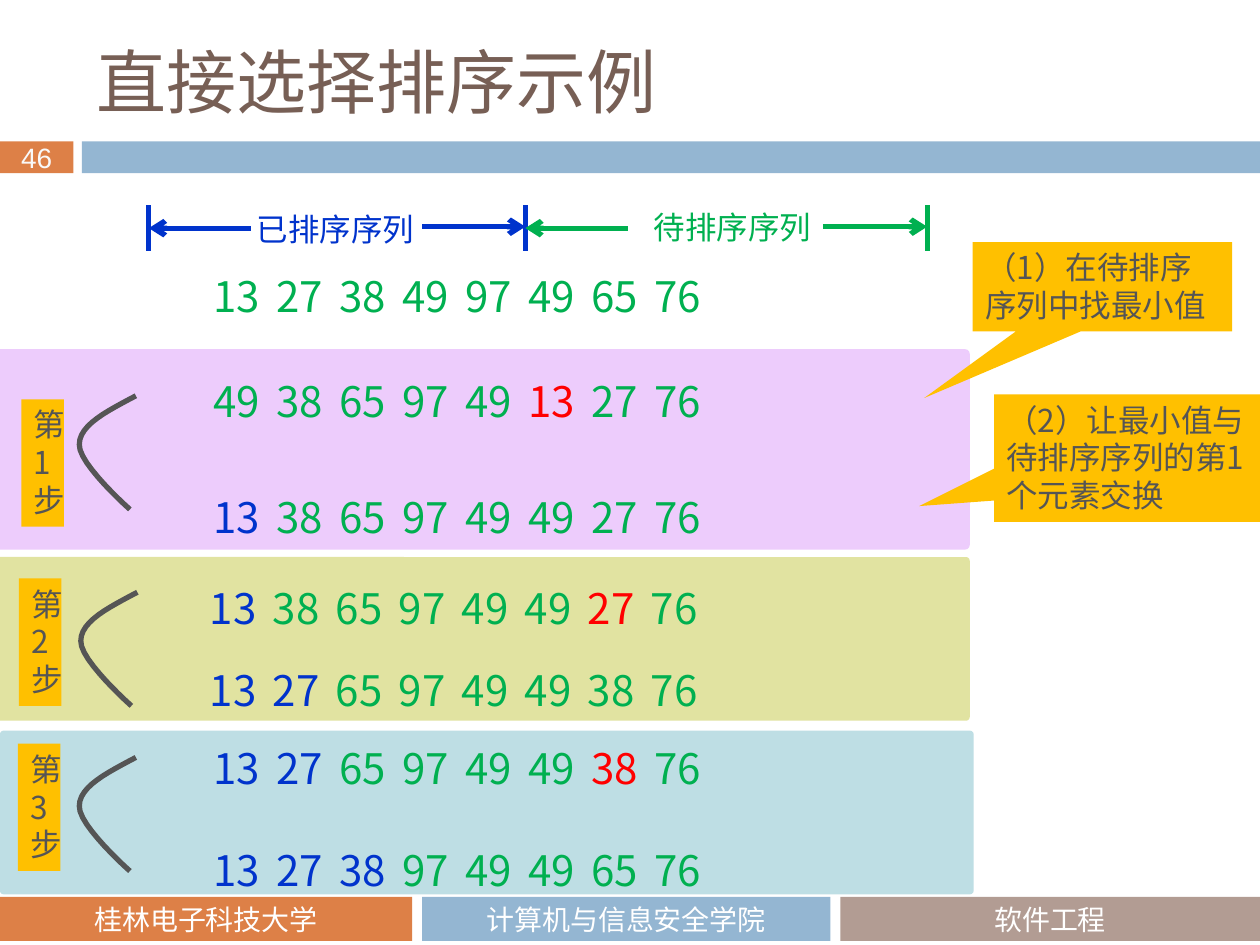
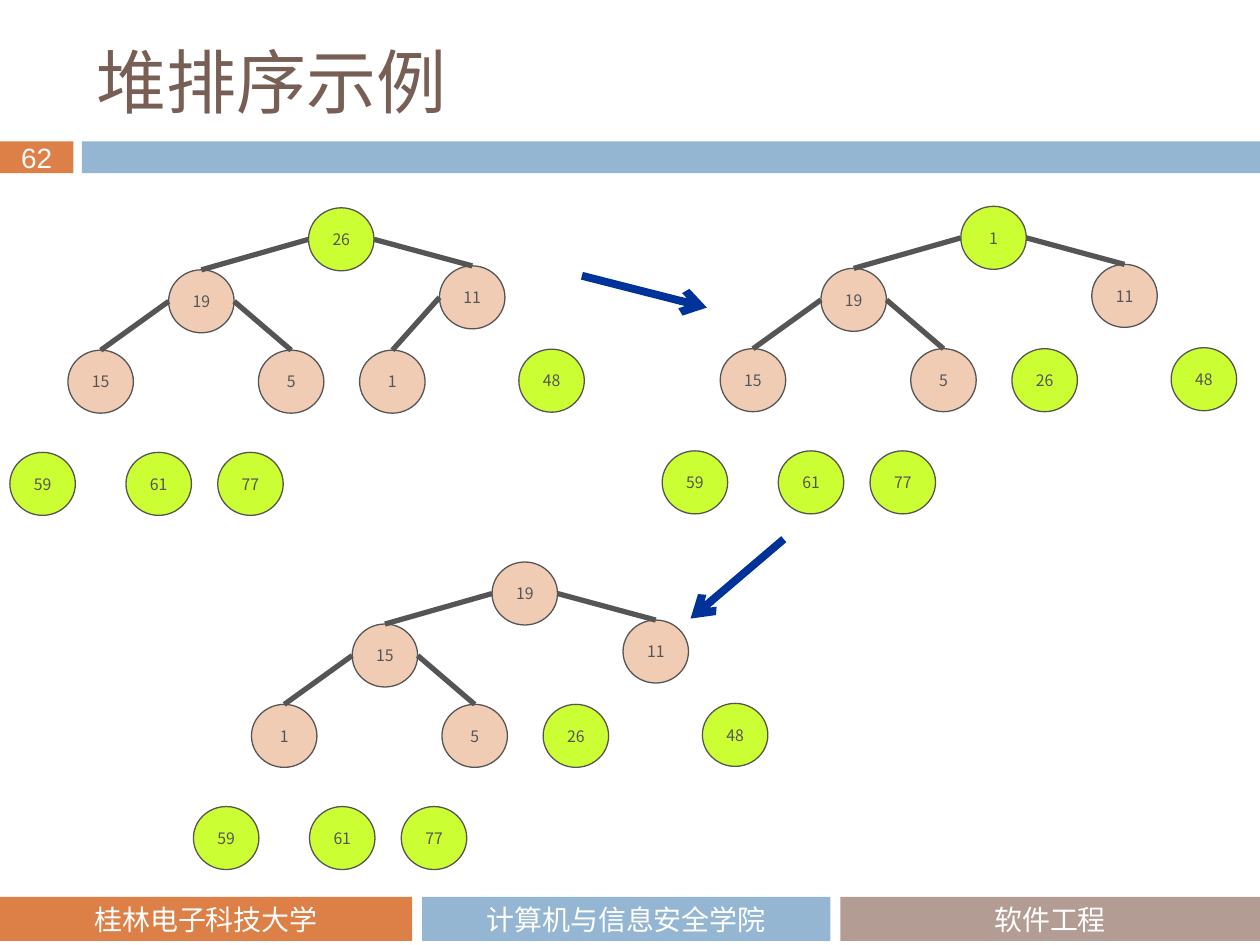
from typing import NamedTuple

from lxml.etree import SubElement
from pptx import Presentation
from pptx.dml.color import RGBColor
from pptx.enum.shapes import MSO_CONNECTOR, MSO_SHAPE as Preset
from pptx.enum.text import MSO_ANCHOR as Anchor, MSO_AUTO_SIZE as AutoSize, PP_ALIGN as Align
from pptx.oxml.ns import qn
from pptx.util import Cm, Pt

# Shared colours and fonts
ORANGE, STEEL, TAUPE, BROWN = "DD8047", "94B6D2", "B29C93", "775F55"
SORTED, UNSORTED, MINIMUM = "0033CC", "00B050", "FF0000"
AMBER, GREY, LIME, PEACH, NAVY = "FFC000", "555555", "CCFF33", "F1CCB5", "003399"
SANS = "Noto Sans CJK SC"


class TextStyle(NamedTuple):
    size: float
    color: str | None = None
    face: str = SANS


class Box(NamedTuple):
    left: float
    top: float
    width: float
    height: float


class Banner(NamedTuple):
    box: Box
    fill: str
    text: str = ""
    style: TextStyle = TextStyle(16, "FFFFFF", "Cabin")


class NumberRow(NamedTuple):
    numbers: str
    left: float
    top: float
    sorted_count: int = 0
    minimum: int = -1


class Step(NamedTuple):
    label: str
    label_at: tuple[float, float]
    band: Box
    band_fill: str
    bracket_at: tuple[float, float]
    rows: tuple[NumberRow, ...]


class Callout(NamedTuple):
    text: str
    box: Box
    tip: tuple[float, float]


class Line(NamedTuple):
    start: tuple[float, float]
    end: tuple[float, float]
    color: str
    width: float = 3
    arrow: bool = False


class Heap(NamedTuple):
    values: tuple[int, ...]
    offset: tuple[float, float]
    linked: int
    peach: range


STEP_STYLE = TextStyle(18, GREY)
NODE_STYLE = TextStyle(9, GREY)
TITLE_STYLE = TextStyle(40, BROWN, "Noto Sans CJK JP")


# Drawing helpers
def rgb(color: str) -> RGBColor:
    return RGBColor.from_string(color)


def emu(values) -> list[int]:
    return [Cm(value) for value in values]


def style_paragraph(paragraph, style: TextStyle) -> None:
    font = paragraph.font
    font.size = Pt(style.size)
    if style.color:
        font.color.rgb = rgb(style.color)
    font.name = style.face
    defaults = paragraph._p.pPr.find(qn("a:defRPr"))
    SubElement(defaults, qn("a:ea"), typeface=style.face)


def write(frame, text: str, style: TextStyle, align=Align.LEFT,
          anchor=Anchor.TOP, inset: float | None = None, wrap: bool = True) -> None:
    frame.word_wrap = wrap
    frame.vertical_anchor = anchor
    if inset is not None:
        frame.margin_left = frame.margin_right = Cm(inset)
        frame.margin_top = frame.margin_bottom = Cm(inset)
    paragraph = frame.paragraphs[0]
    paragraph.add_run().text = text
    paragraph.alignment = align
    style_paragraph(paragraph, style)


def paint(shape, fill: str | None, line: str | None = None, width: float = 0.75) -> None:
    shape.shadow.inherit = False
    if fill:
        shape.fill.solid()
        shape.fill.fore_color.rgb = rgb(fill)
    else:
        shape.fill.background()
    if line:
        shape.line.color.rgb = rgb(line)
        shape.line.width = Pt(width)
    else:
        shape.line.fill.background()


def add_preset(slide, preset, box: Box, fill: str, line: str | None = None):
    shape = slide.shapes.add_shape(preset, *emu(box))
    paint(shape, fill, line)
    return shape


def add_line(slide, line: Line) -> None:
    connector = slide.shapes.add_connector(
        MSO_CONNECTOR.STRAIGHT, *emu(line.start + line.end))
    connector.line.color.rgb = rgb(line.color)
    connector.line.width = Pt(line.width)
    if line.arrow:
        SubElement(connector.line._get_or_add_ln(), qn("a:tailEnd"), type="arrow")
    SubElement(connector._element.spPr, qn("a:effectLst"))


def place(placeholder, box: Box) -> None:
    (placeholder.left, placeholder.top,
     placeholder.width, placeholder.height) = emu(box)
    placeholder.text_frame.auto_size = AutoSize.NONE


# Title, number band and footer of every slide
def add_base_slide(deck, layout: int, title: str, number: int):
    slide = deck.slides.add_slide(deck.slide_layouts[layout])
    heading = slide.shapes.title
    place(heading, Box(1.7, 0.64, 22.66, 1.98))
    write(heading.text_frame, title, TITLE_STYLE, anchor=Anchor.MIDDLE)
    banners = (
        Banner(Box(0, 2.85, 1.48, 0.64), ORANGE, str(number), TextStyle(16, "F9F9F9", "Arial")),
        Banner(Box(1.65, 2.85, 23.75, 0.64), STEEL),
        Banner(Box(0, 18.08, 8.31, 0.89), ORANGE, "桂林电子科技大学"),
        Banner(Box(8.51, 18.08, 8.23, 0.89), STEEL, "计算机与信息安全学院"),
        Banner(Box(16.94, 18.08, 8.46, 0.89), TAUPE, "软件工程"),
    )
    for banner in banners:
        shape = add_preset(slide, Preset.RECTANGLE, banner.box, banner.fill)
        if banner.text:
            write(shape.text_frame, banner.text, banner.style, Align.CENTER, Anchor.MIDDLE, 0)
    return slide


# Selection sort
FIRST_ROW = NumberRow("13 27 38 49 97 49 65 76", 1.7, 5.11)
ROW_SIZE = (17.93, 1.65)
COLUMN_STOPS = [1.7 * column for column in range(1, 7)] + [11.7]
STEPS = (
    Step("第1步", (0.43, 8.05), Box(-0.08, 7.04, 19.63, 4.04), "EDCCFC", (1.6, 7.98), (
        NumberRow("49 38 65 97 49 13 27 76", 1.7, 7.24, 0, 5),
        NumberRow("13 38 65 97 49 49 27 76", 1.7, 9.58, 1))),
    Step("第2步", (0.38, 11.66), Box(-0.08, 11.23, 19.63, 3.3), "E1E3A1", (1.63, 11.94), (
        NumberRow("13 38 65 97 49 49 27 76", 1.63, 11.4, 1, 6),
        NumberRow("13 27 65 97 49 49 38 76", 1.63, 13.06, 2))),
    Step("第3步", (0.36, 14.99), Box(0, 14.73, 19.63, 3.3), "BEDEE4", (1.6, 15.27), (
        NumberRow("13 27 65 97 49 49 38 76", 1.7, 14.63, 2, 6),
        NumberRow("13 27 38 97 49 49 65 76", 1.7, 16.69, 3))),
)
CALLOUTS = (
    Callout("（1）在待排序序列中找最小值", Box(19.61, 4.88, 5.23, 1.8), (-0.687, 1.247)),
    Callout("（2）让最小值与待排序序列的第1个元素交换",
            Box(20.04, 7.95, 5.36, 2.57), (-0.782, 0.377)),
)
RANGE_LINES = (
    Line((3, 5.05), (3, 4.14), SORTED),
    Line((10.59, 5.05), (10.59, 4.14), SORTED),
    Line((18.69, 5.05), (18.69, 4.14), UNSORTED),
    Line((5.05, 4.6), (3, 4.6), SORTED, arrow=True),
    Line((8.51, 4.57), (10.59, 4.57), SORTED, arrow=True),
    Line((12.65, 4.6), (10.59, 4.6), UNSORTED, arrow=True),
    Line((16.59, 4.57), (18.69, 4.57), UNSORTED, arrow=True),
)
RANGE_LABELS = (("已排序序列", 4.93, 4.1, SORTED), ("待排序序列", 12.93, 4.06, UNSORTED))
BRACKET_CURVES = (
    ((1.14, 0), (0.58, 0.3), (0, 0.58), (0, 0.98)),
    ((0, 0.98), (-0.02, 1.37), (1.02, 2.29), (1.02, 2.29)),
)


def fill_row(frame, row: NumberRow) -> None:
    frame.word_wrap = True
    frame.vertical_anchor = Anchor.MIDDLE
    frame.margin_left = Cm(2.6)
    paragraph = frame.paragraphs[0]
    paragraph.alignment = Align.LEFT
    paragraph.line_spacing = Pt(30)
    paragraph.space_before = Pt(0)
    properties = paragraph._p.get_or_add_pPr()
    properties.set("marL", "0")
    properties.set("indent", "0")
    SubElement(properties, qn("a:buNone"))
    tabs = SubElement(properties, qn("a:tabLst"))
    for stop in COLUMN_STOPS:
        SubElement(tabs, qn("a:tab"), pos=str(Cm(stop)), algn="l")
    style_paragraph(paragraph, TextStyle(24))
    for index, number in enumerate(row.numbers.split()):
        run = paragraph.add_run()
        run.text = f"\t{number}" if index else number
        color = (SORTED if index < row.sorted_count
                 else MINIMUM if index == row.minimum else UNSORTED)
        run.font.color.rgb = rgb(color)


def add_bracket(slide, left: float, top: float) -> None:
    points = []
    for a, b, c, d in BRACKET_CURVES:
        for t in (part / 12 for part in range(13)):
            x, y = ((1 - t) ** 3 * p + 3 * (1 - t) ** 2 * t * q + 3 * (1 - t) * t ** 2 * r
                    + t ** 3 * s for p, q, r, s in zip(a, b, c, d))
            points.append((Cm(left + x), Cm(top + y)))
    builder = slide.shapes.build_freeform(*points[0])
    builder.add_line_segments(points[1:], close=False)
    paint(builder.convert_to_shape(), None, GREY, 3)


def build_selection_sort(deck) -> None:
    slide = add_base_slide(deck, 1, "直接选择排序示例", 46)
    body = slide.placeholders[1]
    place(body, Box(FIRST_ROW.left, FIRST_ROW.top, *ROW_SIZE))
    fill_row(body.text_frame, FIRST_ROW)

    # Sorted and unsorted ranges
    for line in RANGE_LINES:
        add_line(slide, line)
    for text, left, top, color in RANGE_LABELS:
        label = slide.shapes.add_textbox(*emu((left, top, 3.71, 1.02)))
        write(label.text_frame, text, TextStyle(18, color), wrap=False)

    # Steps with their number rows
    for step in STEPS:
        band = add_preset(slide, Preset.ROUNDED_RECTANGLE, step.band, step.band_fill)
        band.adjustments[0] = 0.023
        tag = add_preset(slide, Preset.RECTANGLE, Box(*step.label_at, 0.86, 2.57), AMBER)
        write(tag.text_frame, step.label, STEP_STYLE)
        add_bracket(slide, *step.bracket_at)
        for row in step.rows:
            row_box = slide.shapes.add_textbox(*emu((row.left, row.top, *ROW_SIZE)))
            fill_row(row_box.text_frame, row)

    for callout in CALLOUTS:
        note = add_preset(slide, Preset.RECTANGULAR_CALLOUT, callout.box, AMBER)
        note.adjustments[0], note.adjustments[1] = callout.tip
        write(note.text_frame, callout.text, STEP_STYLE)


# Heap sort: node places in heap order, shifted for each heap
NODE_WIDTH, NODE_HEIGHT = 1.32, 1.27
NODE_PLACES = ((6.22, 4.19), (3.4, 5.44), (8.86, 5.36), (1.37, 7.06), (5.21, 7.06),
               (7.25, 7.06), (10.46, 7.04), (0.2, 9.12), (2.54, 9.12), (4.39, 9.12))
HEAPS = (
    Heap((26, 19, 11, 15, 5, 1, 48, 59, 61, 77), (0, 0), 6, range(1, 6)),
    Heap((1, 19, 11, 15, 5, 26, 48, 59, 61, 77), (13.15, -0.03), 5, range(1, 5)),
    Heap((19, 15, 11, 1, 5, 26, 48, 59, 61, 77), (3.7, 7.14), 5, range(5)),
)
STAGE_ARROWS = (
    Line((11.73, 5.56), (14.25, 6.2), NAVY, 4.5, True),
    Line((15.8, 10.87), (13.92, 12.47), NAVY, 4.5, True),
)


def add_heap(slide, heap: Heap) -> None:
    dx, dy = heap.offset
    places = [(x + dx, y + dy) for x, y in NODE_PLACES]
    for index, (value, at) in enumerate(zip(heap.values, places)):
        fill = PEACH if index in heap.peach else LIME
        node = add_preset(slide, Preset.OVAL, Box(*at, NODE_WIDTH, NODE_HEIGHT), fill, GREY)
        write(node.text_frame, str(value), NODE_STYLE, Align.CENTER, Anchor.MIDDLE, 0)
    for child in range(1, heap.linked):
        x, y = places[(child - 1) // 2]
        side = x if child % 2 else x + NODE_WIDTH
        child_x, child_y = places[child]
        add_line(slide, Line((side, y + NODE_HEIGHT / 2),
                             (child_x + NODE_WIDTH / 2, child_y), GREY))


def build_heap_sort(deck) -> None:
    slide = add_base_slide(deck, 5, "堆排序示例", 62)
    for heap in HEAPS:
        add_heap(slide, heap)
    for arrow in STAGE_ARROWS:
        add_line(slide, arrow)


def main() -> None:
    deck = Presentation()
    deck.slide_width, deck.slide_height = Cm(25.4), Cm(19.05)
    build_selection_sort(deck)
    build_heap_sort(deck)
    deck.save("out.pptx")


if __name__ == "__main__":
    main()
